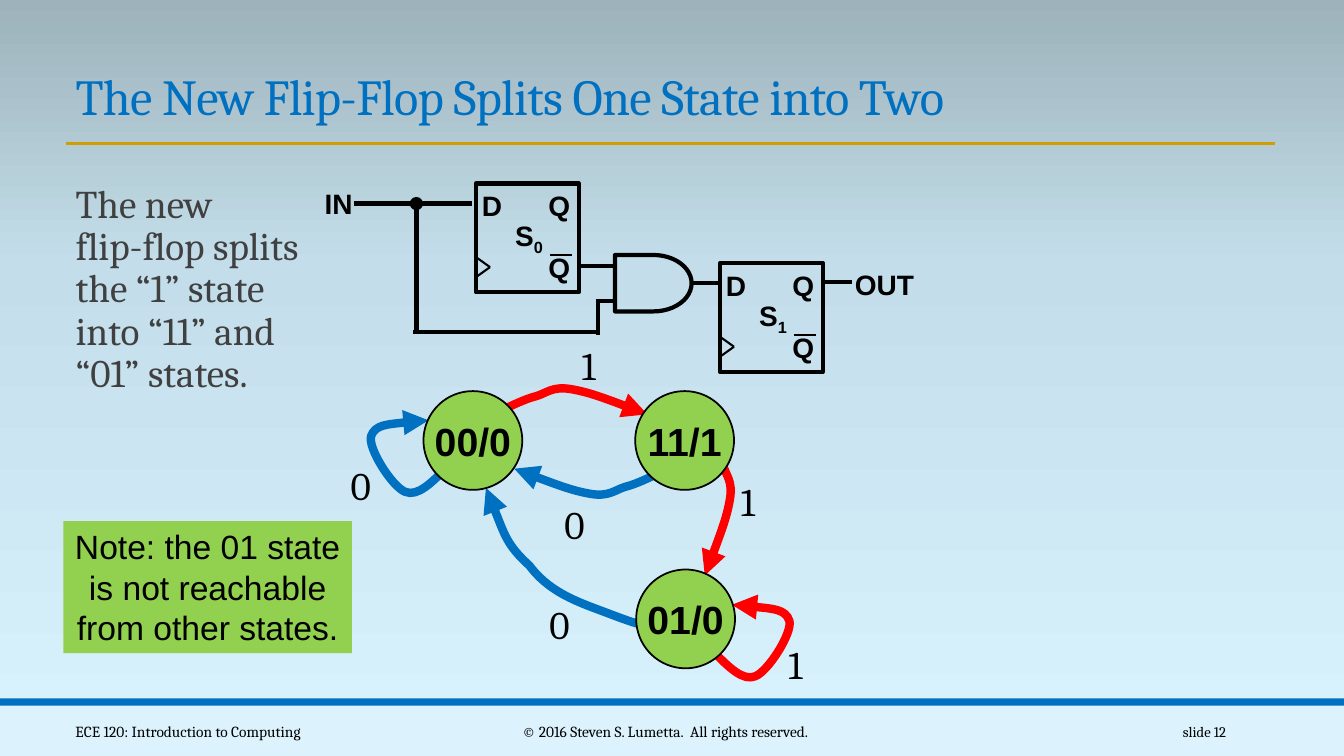
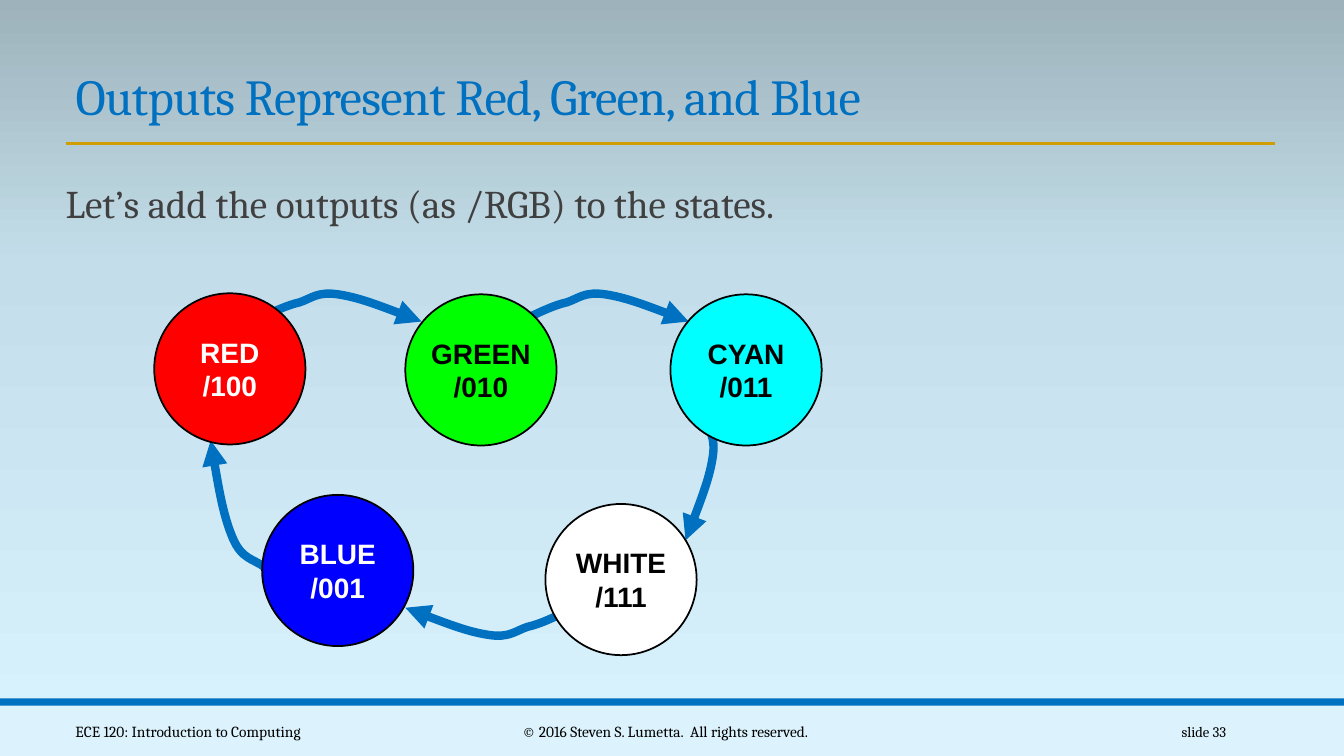
from copy import deepcopy

from lxml.etree import SubElement
from pptx import Presentation
from pptx.dml.color import RGBColor
from pptx.enum.shapes import MSO_CONNECTOR, MSO_SHAPE
from pptx.enum.text import MSO_ANCHOR, MSO_AUTO_SIZE, PP_ALIGN
from pptx.oxml.ns import qn
from pptx.util import Pt

PX = 9144
WIDTH, HEIGHT = 1333, 750

COLORS = {name: RGBColor.from_string(value) for name, value in {
    "sky": "DAF4FF", "mist": "C3DEEA", "slate": "9DB2BA",
    "strip": "DCF3FD", "accent": "0070C0", "gold": "D09E00",
    "body": "404040", "black": "000000", "white": "FFFFFF",
    "state": "92D050", "red": "FF0000", "green": "00FF00",
    "blue": "0000FF", "cyan": "00FFFF",
}.items()}


def write(shape, lines, size, color="black", font="Arial", bold=False,
          align=PP_ALIGN.LEFT, anchor=MSO_ANCHOR.TOP, wrap=False,
          inset=10, spacing=None, subscript=""):
    frame = shape.text_frame
    frame.auto_size = MSO_AUTO_SIZE.NONE
    frame.word_wrap = wrap
    frame.vertical_anchor = anchor
    frame.margin_left = frame.margin_right = inset * PX
    frame.margin_top = frame.margin_bottom = inset * PX // 2
    paragraph = frame.paragraphs[0]
    paragraph.alignment = align
    paragraph.line_spacing = spacing
    for index, line in enumerate(lines):
        if index:
            paragraph.add_line_break()
        for text, baseline in ((line, 0), (subscript, -25000)):
            if text:
                run = paragraph.add_run()
                run.text = text
                run.font.name = font
                run.font.size = Pt(size)
                run.font.bold = bold
                run.font.color.rgb = COLORS[color]
                if baseline:
                    run.font._element.set("baseline", str(baseline))


def draw_line(slide, x1, y1, x2, y2, width, color="black"):
    line = slide.shapes.add_connector(
        MSO_CONNECTOR.STRAIGHT, x1 * PX, y1 * PX, x2 * PX, y2 * PX)
    line.line.color.rgb = COLORS[color]
    line.line.width = Pt(width)
    SubElement(line._element.spPr, qn("a:effectLst"))
    return line


prs = Presentation()
prs.slide_width, prs.slide_height = WIDTH * PX, HEIGHT * PX

backdrop = prs.slide_master.background.fill
backdrop.gradient()
backdrop.gradient_angle = 90
stop_list = prs.slide_master._element.xpath("p:cSld/p:bg//a:gsLst")[0]
stop_list.append(deepcopy(stop_list[-1]))
for stop, (position, color) in zip(
        backdrop.gradient_stops, ((0, "sky"), (0.65, "mist"), (1, "slate"))):
    stop.position = position
    stop.color.rgb = COLORS[color]

slides = []
for heading, number, body_left, body in (
    ("The New Flip-Flop Splits One State into Two", 12, 75,
     ["The new", "flip-flop splits", "the “1” state", "into “11” and", "“01” states."]),
    ("Outputs Represent Red, Green, and Blue", 33, 65,
     ["Let’s add the outputs (as /RGB) to the states."]),
):
    slide = prs.slides.add_slide(prs.slide_layouts[5])
    slides.append(slide)
    for top, height, color in ((700, 50, "strip"), (693, 7, "accent")):
        band = slide.shapes.add_shape(
            MSO_SHAPE.RECTANGLE, 0, top * PX, WIDTH * PX, height * PX)
        band.shadow.inherit = False
        band.fill.solid()
        band.fill.fore_color.rgb = COLORS[color]
        band.line.fill.background()
    draw_line(slide, 65, 142, 1265, 142, 2, "gold")

    title = slide.shapes.title
    title.left, title.top, title.width, title.height = (
        65 * PX, 59 * PX, 1201 * PX, 71 * PX)
    write(title, [heading], 36, "accent", "Cambria",
          anchor=MSO_ANCHOR.BOTTOM, wrap=True, spacing=0.85)
    title.text_frame.paragraphs[0].runs[0].font._element.set("spc", "-50")

    body_box = slide.shapes.add_textbox(body_left * PX, 183 * PX, 842 * PX, 454 * PX)
    write(body_box, body, 28, "body", "Cambria", wrap=True, inset=0, spacing=0.9)

    for left, width, text, size, align in (
        (65, 325, "ECE 120: Introduction to Computing", 11, PP_ALIGN.LEFT),
        (403, 514, "© 2016 Steven S. Lumetta.  All rights reserved.", 11, PP_ALIGN.CENTER),
        (1083, 143, f"slide {number}", 10.5, PP_ALIGN.RIGHT),
    ):
        footer = slide.shapes.add_textbox(left * PX, 706 * PX, width * PX, 40 * PX)
        write(footer, [text], size, font="Cambria", align=align,
              anchor=MSO_ANCHOR.MIDDLE, wrap=True)

circuit, rgb = slides

SWOOSH = [(13, -6), (25, -12), (38, -15), (50, -19), (56, -26),
          (76, -23), (96, -20), (128, -8), (159, 4)]
SELF_LOOP = [(14, 14), (28, 28), (40, 23), (53, 18), (77, -20),
             (74, -32), (70, -44), (43, -46), (17, -48)]
LONG_RETURN = [(-11, 5), (-34, -5), (-61, -15), (-88, -25), (-112, -35),
               (-130, -59), (-152, -79), (-157, -96), (-173, -136)]
BLUE_TO_RED = [(-14, -7), (-28, -14), (-40, -23), (-52, -32), (-63, -31),
               (-72, -52), (-81, -73), (-88, -111), (-94, -149)]
AHEAD, BACK = (1, 0, 0, 1), (-1, 0, 0, -1)
DOWN, MIRRORED = (0, -1, 1, 0), (-1, 0, 0, 1)

for slide, color, x, y, bends, turn, scale in (
    (circuit, "red", 497, 407, SWOOSH, AHEAD, 0.91),
    (circuit, "accent", 442, 465, SELF_LOOP, MIRRORED, 1),
    (circuit, "accent", 655, 469, SWOOSH, BACK, 0.91),
    (circuit, "red", 709, 648, SELF_LOOP, AHEAD, 1),
    (circuit, "red", 703, 426, SWOOSH, DOWN, 0.91),
    (circuit, "accent", 655, 620, LONG_RETURN, AHEAD, 1),
    (rgb, "accent", 303, 586, BLUE_TO_RED, AHEAD, 1),
    (rgb, "accent", 561, 607, SWOOSH, BACK, 1),
    (rgb, "accent", 684, 377, SWOOSH, DOWN, 1),
    (rgb, "accent", 524, 315, SWOOSH, AHEAD, 1),
    (rgb, "accent", 259, 315, SWOOSH, AHEAD, 1),
):
    xx, xy, yx, yy = turn
    builder = slide.shapes.build_freeform(x, y, scale=PX)
    builder.add_line_segments(
        [(round(x + scale * (xx * dx + xy * dy)),
          round(y + scale * (yx * dx + yy * dy))) for dx, dy in bends],
        close=False)
    transition = builder.convert_to_shape()
    steps = transition._element.xpath(".//a:lnTo")
    for start in range(0, len(steps), 3):
        outline = steps[start].getparent()
        curve = SubElement(outline, qn("a:cubicBezTo"))
        for step in steps[start:start + 3]:
            curve.append(step[0])
            outline.remove(step)
    transition.shadow.inherit = False
    transition.fill.background()
    transition.line.color.rgb = COLORS[color]
    transition.line.width = Pt(6)
    SubElement(transition.line._get_or_add_ln(), qn("a:tailEnd"), type="triangle")

for slide, left, top, diameter, fill, ink, size, lines in (
    (circuit, 420, 388, 98, "state", "black", 28, ["00/0"]),
    (circuit, 630, 388, 98, "state", "black", 28, ["11/1"]),
    (circuit, 631, 565, 98, "state", "black", 28, ["01/0"]),
    (rgb, 260, 491, 150, "blue", "white", 20, ["BLUE", "/001"]),
    (rgb, 541, 500, 150, "white", "black", 20, ["WHITE", "/111"]),
    (rgb, 665, 292, 150, "cyan", "black", 20, ["CYAN", "/011"]),
    (rgb, 402, 292, 150, "green", "black", 20, ["GREEN", "/010"]),
    (rgb, 153, 291, 150, "red", "white", 20, ["RED", "/100"]),
):
    state = slide.shapes.add_shape(
        MSO_SHAPE.OVAL, left * PX, top * PX, diameter * PX, diameter * PX)
    state.shadow.inherit = False
    state.fill.solid()
    state.fill.fore_color.rgb = COLORS[fill]
    state.line.color.rgb = COLORS["black"]
    state.line.width = Pt(1.25)
    write(state, lines, size, ink, bold=True, align=PP_ALIGN.CENTER,
          anchor=MSO_ANCHOR.MIDDLE, inset=0)

for left, top, bit in (
    (567, 334, "1"), (338, 453, "0"), (550, 491, "0"),
    (772, 630, "1"), (725, 469, "1"), (535, 591, "0"),
):
    input_label = circuit.shapes.add_textbox(left * PX, top * PX, 42 * PX, 57 * PX)
    write(input_label, [bit], 28, font="Cambria")

pins = [(312, 180, 48, "IN", ""), (838, 260, 79, "OUT", "")]
wires = [
    (351, 202, 468, 202, 3), (574, 264, 610, 264, 3), (592, 299, 610, 299, 3),
    (593, 332, 593, 297, 3), (410, 329, 591, 329, 3), (413, 202, 413, 329, 3),
    (817, 280, 845, 280, 3),
]
components = [(MSO_SHAPE.FLOWCHART_DELAY, 610, 253, 76, 56)]
for bit, (left, top) in enumerate(((472, 182), (714, 261))):
    components.append((MSO_SHAPE.RECTANGLE, left, top, 102, 108))
    pins += [
        (left - 4, top, 41, "D", ""), (left + 29, top + 30, 49, "S", str(bit)),
        (left + 62, top, 42, "Q", ""), (left + 62, top + 62, 42, "Q", ""),
    ]
    wires += [
        (left + 74, top + 71, left + 95, top + 71, 1.5),
        (left + 14, top + 83, left, top + 73, 1.5),
        (left + 14, top + 83, left, top + 93, 1.5),
    ]

drawn = []
for preset, left, top, width, height in components:
    component = circuit.shapes.add_shape(
        preset, left * PX, top * PX, width * PX, height * PX)
    component.shadow.inherit = False
    component.fill.background()
    component.line.color.rgb = COLORS["black"]
    component.line.width = Pt(3)
    drawn.append(component)

for wire in wires:
    draw_line(circuit, *wire)
gate_output = draw_line(circuit, 686, 281, 714, 281, 3)
gate_output.begin_connect(drawn[0], 3)

for left, top, width, text, subscript in pins:
    pin = circuit.shapes.add_textbox(left * PX, top * PX, width * PX, 44 * PX)
    write(pin, [text], 20, bold=True, subscript=subscript)

junction = circuit.shapes.add_shape(MSO_SHAPE.OVAL, 408 * PX, 197 * PX, 10 * PX, 10 * PX)
junction.shadow.inherit = False
junction.fill.solid()
junction.fill.fore_color.rgb = COLORS["black"]
junction.line.color.rgb = COLORS["black"]
junction.line.width = Pt(2.25)

note = circuit.shapes.add_textbox(63 * PX, 517 * PX, 286 * PX, 131 * PX)
note.fill.solid()
note.fill.fore_color.rgb = COLORS["state"]
write(note, ["Note: the 01 state", "is not reachable", "from other states."],
      24, align=PP_ALIGN.CENTER)

prs.save("out.pptx")
